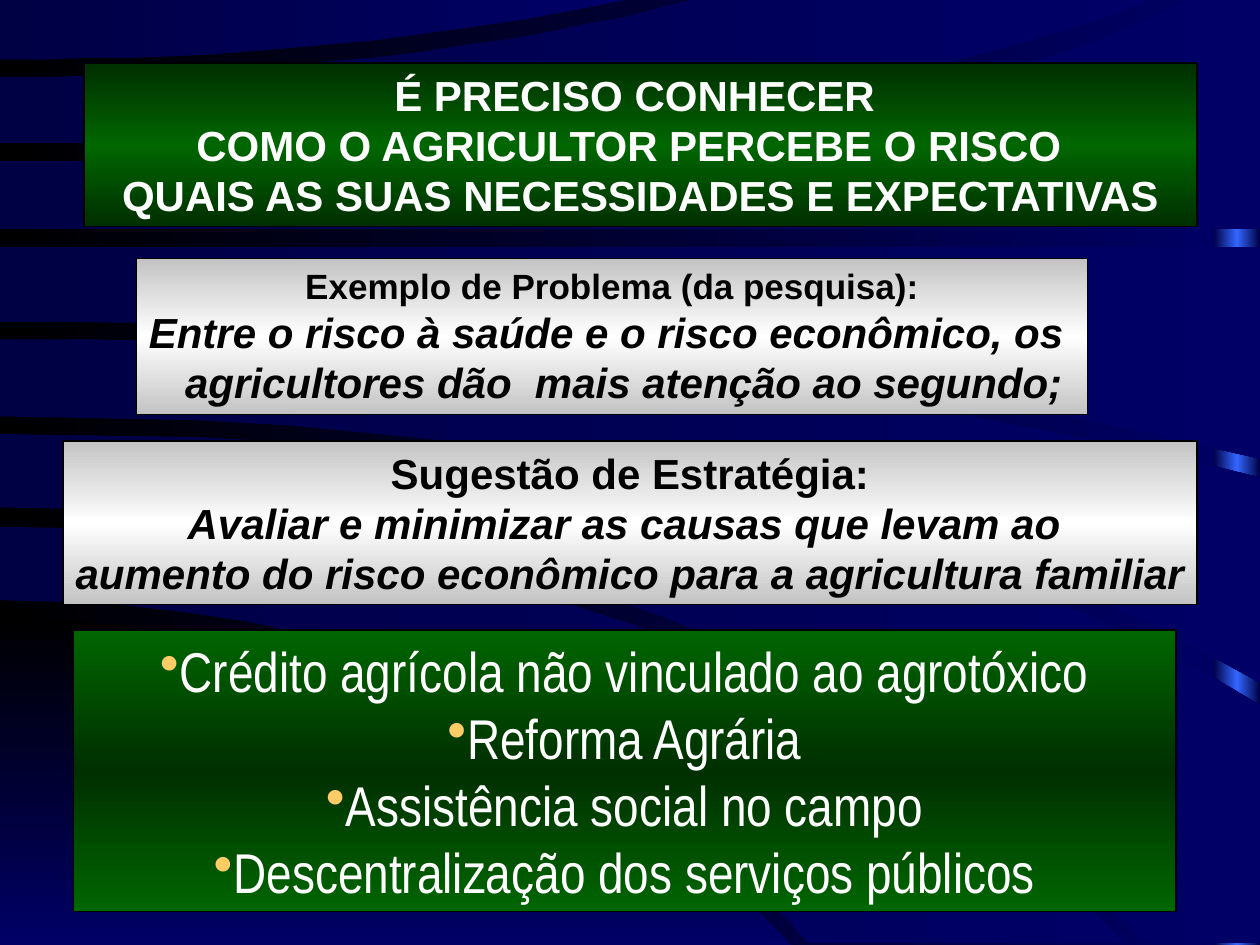
"""Build the slide on how farmers perceive risk."""
import pptx
import pptx.dml.color
import pptx.enum.shapes
import pptx.enum.text
import pptx.oxml
import pptx.oxml.ns
import pptx.util

Pt = pptx.util.Pt
WIDE, HIGH, STEPS = 720, 540, 16
HUES = {"black": "000000", "white": "FFFFFF", "navy": "000066", "night": "000044",
        "blue": "3366FF", "green": "006600", "pine": "002F00", "gray": "C3C3C3",
        "gold": "FFCC66"}

# Each edge: start y, bend x, end x, end y.
BANDS = [
    ((354, 280, 452, 540), (540, 226, 452, 540)),
    ((301, 420, 643, 539), (343, 300, 462, 539)),
    ((248, 470, 720, 403), (290, 430, 654, 539)),
    ((194, 400, 720, 273), (238, 460, 720, 390)),
    ((141, 360, 720, 141), (184, 400, 720, 262)),
    ((92, 510, 679, -1), (131, 360, 720, 131)),
    ((44, 230, 400, -1), (82, 460, 660, -1)),
    ((-1, 180, 361, -1), (34, 200, 361, -1)),
]

HEAD = {"font": "Arial", "size": 24, "bold": True, "hue": "white"}
ITEM = {"font": "Arial Narrow", "size": 32, "bold": False, "hue": "white", "bullet": "gold"}
LEAD = {**HEAD, "hue": "black"}
NOTE = {**LEAD, "size": 20}
BODY = {**LEAD, "italic": True}

BOXES = [
    {"at": (48, 36, 636, 93.6), "fill": ("pine", "green", "pine"), "wrap": True, "lines": [
        ("É PRECISO CONHECER", HEAD, 0, 6.67),
        ("COMO O AGRICULTOR PERCEBE O RISCO", HEAD, 0, 13.33),
        ("QUAIS AS SUAS NECESSIDADES E EXPECTATIVAS", HEAD, 0, 0)]},
    {"at": (42, 360, 630, 161), "fill": ("green", "pine", "green"), "wrap": True, "lines": [
        ("Crédito agrícola não vinculado ao agrotóxico", ITEM, 0, 0),
        ("Reforma Agrária", ITEM, 0, 0),
        ("Assistência social no campo", ITEM, 0, 0),
        ("Descentralização dos serviços públicos", ITEM, 0, 0)]},
    {"at": (78, 147.6, 543.6, 89.3), "fill": ("gray", "white", "gray"), "wrap": False, "lines": [
        ("Exemplo de Problema (da pesquisa):", NOTE, 0, 0),
        ("Entre o risco à saúde e o risco econômico, os", BODY, 0, 6.67),
        ("agricultores dão  mais atenção ao segundo;", BODY, 13.33, 0)]},
    {"at": (36, 252, 648, 93.6), "fill": ("gray", "white", "gray"), "wrap": False, "lines": [
        ("Sugestão de Estratégia:", LEAD, 0, 0),
        ("Avaliar e minimizar as causas que levam ao", BODY, 0, 6.67),
        ("aumento do risco econômico para a agricultura familiar", BODY, 0, 0)]},
]


def tint(name):
    return pptx.dml.color.RGBColor.from_string(HUES[name])


def make(tag, **atts):
    node = pptx.oxml.parse_xml(f"<a:{tag} {pptx.oxml.ns.nsdecls('a')}/>")
    for key, value in atts.items():
        node.set(key, str(value))
    return node


def shade(fill, root, names, angle):
    fill.gradient()
    fill.gradient_angle = -angle % 360
    stops = next(root.iter(pptx.oxml.ns.qn("a:gsLst")))
    stops.clear()
    for num, name in enumerate(names):
        stop = make("gs", pos=100000 * num // (len(names) - 1))
        stop.append(make("srgbClr", val=HUES[name]))
        stops.append(stop)


def paint(shape, names, angle):
    shape.shadow.inherit = False
    shape.line.fill.background()
    shade(shape.fill, shape._element, names, angle)


def block(slide, spot, names, angle):
    kind = pptx.enum.shapes.MSO_SHAPE.RECTANGLE
    shape = slide.shapes.add_shape(kind, *map(Pt, spot))
    paint(shape, names, angle)
    return shape


def curve(start, bend, right, end):
    parts = [step / STEPS for step in range(STEPS + 1)]
    return [(2 * t * (1 - t) * bend + t * t * right, start + t * t * (end - start))
            for t in parts]


def outline(top, base):
    upper, lower = curve(*top), curve(*base)
    near, far = sorted((upper[-1], lower[-1]))
    corner = [(WIDE, near[1])] if far[0] == WIDE else []
    return upper + corner + lower[::-1]


def scene(slide):
    shade(slide.background.fill, slide._element, ("black", "navy"), 0)
    block(slide, (693.5, 0, 26.5, HIGH), ("night", "blue", "night"), 0)
    for num, band in enumerate(BANDS):
        first, *rest = outline(*band)
        pen = slide.shapes.build_freeform(*first, scale=Pt(1))
        pen.add_line_segments(rest, close=True)
        tone, angle = ("night", 0) if num else ("black", 90)
        paint(pen.convert_to_shape(), (tone, "navy"), angle)


def write(para, text, style, left, right):
    para.text = text
    para.alignment = pptx.enum.text.PP_ALIGN.CENTER
    props = para._p.get_or_add_pPr()
    for key, value in (("marL", left), ("marR", right), ("indent", 0)):
        props.set(key, str(Pt(value)))
    if "bullet" in style:
        color = make("buClr")
        color.append(make("srgbClr", val=HUES[style["bullet"]]))
        props.append(color)
        props.append(make("buChar", char="•"))
    font = para.font
    font.name, font.size, font.bold = style["font"], Pt(style["size"]), style["bold"]
    font.italic = style.get("italic", False)
    font.color.rgb = tint(style["hue"])


def panel(slide, box):
    shape = block(slide, box["at"], box["fill"], 90)
    shape.line.color.rgb = tint("black")
    shape.line.width = Pt(0.75)
    frame = shape.text_frame
    frame.word_wrap = box["wrap"]
    frame.vertical_anchor = pptx.enum.text.MSO_ANCHOR.TOP
    for num, line in enumerate(box["lines"]):
        write(frame.add_paragraph() if num else frame.paragraphs[0], *line)


def main():
    deck = pptx.Presentation()
    deck.slide_width, deck.slide_height = Pt(WIDE), Pt(HIGH)
    slide = deck.slides.add_slide(deck.slide_layouts[6])
    scene(slide)
    for box in BOXES:
        panel(slide, box)
    deck.save("out.pptx")


if __name__ == "__main__":
    main()
